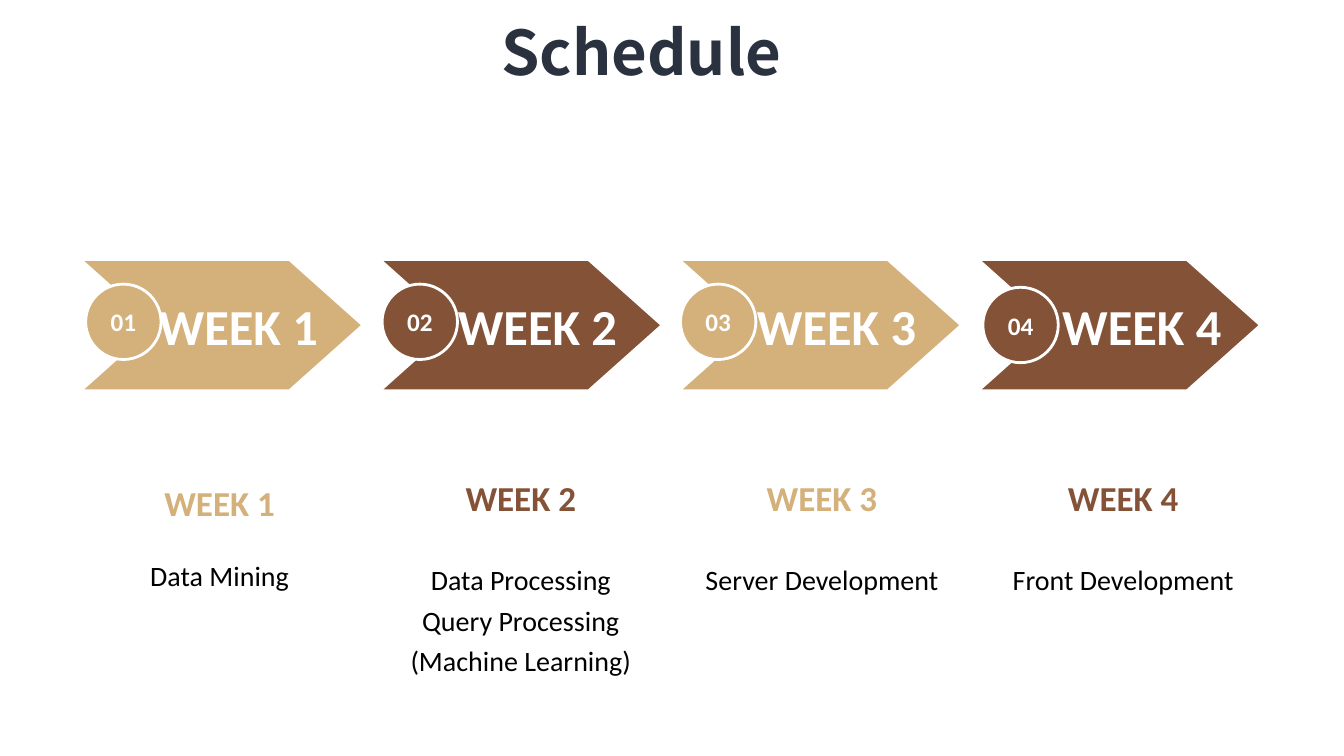
from dataclasses import dataclass

from pptx import Presentation
from pptx.dml.color import RGBColor
from pptx.enum.shapes import MSO_SHAPE
from pptx.enum.text import MSO_ANCHOR, MSO_AUTO_SIZE, PP_ALIGN
from pptx.util import Cm, Pt

OVAL = MSO_SHAPE.OVAL
CENTER = PP_ALIGN.CENTER
MIDDLE = MSO_ANCHOR.MIDDLE
GROW = MSO_AUTO_SIZE.SHAPE_TO_FIT_TEXT


@dataclass(frozen=True)
class Theme:
    title_font: str = "Noto Sans CJK SC"
    body_font: str = "Calibri"
    navy: RGBColor = RGBColor(0x2A, 0x31, 0x3F)
    sand: RGBColor = RGBColor(0xD4, 0xB0, 0x7B)
    brown: RGBColor = RGBColor(0x84, 0x52, 0x37)
    white: RGBColor = RGBColor(0xFF, 0xFF, 0xFF)
    black: RGBColor = RGBColor(0x00, 0x00, 0x00)
    title_size: Pt = Pt(44)
    arrow_size: Pt = Pt(36)
    heading_size: Pt = Pt(25)
    detail_size: Pt = Pt(20)
    number_size: Pt = Pt(18)


THEME = Theme()


@dataclass(frozen=True)
class Week:
    """Content of one week, with its own placement in cm."""
    details: str
    badge_left: float
    badge_top: float = 7.16
    heading_top: float = 12.01
    detail_top: float = 13.89
    arrow_inset: float = 1.5


WEEKS = (
    Week("Data Mining", 2.16, heading_top=12.14, detail_top=13.79),
    Week("Data Processing\nQuery Processing\n(Machine Learning)", 9.63),
    Week("Server Development", 17.15),
    Week("Front Development", 24.77, badge_top=7.24, arrow_inset=1.8),
)

# Arrow row and text columns, in cm
ARROW_LEFT, ARROW_TOP, ARROW_PITCH = 2.13, 6.58, 7.54
ARROW_WIDTH, ARROW_HEIGHT, ARROW_NOTCH = 6.96, 3.23, 1.81
BADGE_SIZE = 1.9
COLUMN_LEFT, COLUMN_PITCH, COLUMN_WIDTH = 1.98, 7.59, 7.11


def write(shape, text, size, color, bold=True, font=THEME.body_font, spacing=None):
    text_frame = shape.text_frame
    text_frame.text = text
    for paragraph in text_frame.paragraphs:
        paragraph.alignment = CENTER
        paragraph.line_spacing = spacing
        for run in paragraph.runs:
            run.font.name = font
            run.font.size = size
            run.font.bold = bold
            run.font.color.rgb = color


def set_margins(shape, left=0, right=0):
    text_frame = shape.text_frame
    text_frame.margin_left, text_frame.margin_right = Cm(left), Cm(right)
    text_frame.margin_top = text_frame.margin_bottom = 0


def fill_shape(shape, color):
    shape.shadow.inherit = False
    shape.fill.solid()
    shape.fill.fore_color.rgb = color
    shape.text_frame.vertical_anchor = MIDDLE


def add_text(shapes, left, top, width, height):
    box = shapes.add_textbox(Cm(left), Cm(top), Cm(width), Cm(height))
    box.text_frame.word_wrap = True
    return box


def add_title(slide, text):
    box = add_text(slide.shapes, 3.07, -0.71, 26.19, 2.74)
    box.text_frame.auto_size = GROW
    write(box, text, THEME.title_size, THEME.navy, font=THEME.title_font, spacing=1.5)


def add_arrow(shapes, left, label, color, inset):
    right, shoulder = left + ARROW_WIDTH, left + ARROW_WIDTH - ARROW_NOTCH
    middle, bottom = ARROW_TOP + ARROW_HEIGHT / 2, ARROW_TOP + ARROW_HEIGHT
    outline = (
        (shoulder, ARROW_TOP), (right, middle), (shoulder, bottom),
        (left, bottom), (left + ARROW_NOTCH, middle),
    )
    builder = shapes.build_freeform(Cm(left), Cm(ARROW_TOP))
    builder.add_line_segments([(Cm(x), Cm(y)) for x, y in outline], close=True)
    arrow = builder.convert_to_shape()
    fill_shape(arrow, color)
    arrow.line.fill.background()
    arrow.text_frame.word_wrap = True
    set_margins(arrow, inset, 0.71)
    write(arrow, label, THEME.arrow_size, THEME.white)


def add_badge(shapes, left, top, number, color):
    badge = shapes.add_shape(OVAL, Cm(left), Cm(top), Cm(BADGE_SIZE), Cm(BADGE_SIZE))
    fill_shape(badge, color)
    badge.line.color.rgb = THEME.white
    badge.line.width = Pt(2)
    badge.text_frame.word_wrap = False
    set_margins(badge)
    write(badge, f"{number:02}", THEME.number_size, THEME.white)


def add_column(shapes, left, label, color, week):
    heading = add_text(shapes, left, week.heading_top, COLUMN_WIDTH, 0.69)
    set_margins(heading)
    write(heading, label, THEME.heading_size, color)
    detail = add_text(shapes, left, week.detail_top, COLUMN_WIDTH, 3.1)
    write(detail, week.details, THEME.detail_size, THEME.black, bold=False, spacing=1.2)


def main():
    presentation = Presentation()
    presentation.slide_width, presentation.slide_height = Cm(33.87), Cm(19.05)
    slide = presentation.slides.add_slide(presentation.slide_layouts[6])

    add_title(slide, "Schedule")

    # One arrow group and one text group per week, in alternating colours
    for index, week in enumerate(WEEKS):
        label = f"WEEK {index + 1}"
        color = (THEME.sand, THEME.brown)[index % 2]
        step = slide.shapes.add_group_shape().shapes
        add_arrow(step, ARROW_LEFT + index * ARROW_PITCH, label, color, week.arrow_inset)
        add_badge(step, week.badge_left, week.badge_top, index + 1, color)
        column = slide.shapes.add_group_shape().shapes
        add_column(column, COLUMN_LEFT + index * COLUMN_PITCH, label, color, week)

    presentation.save("out.pptx")


if __name__ == "__main__":
    main()
